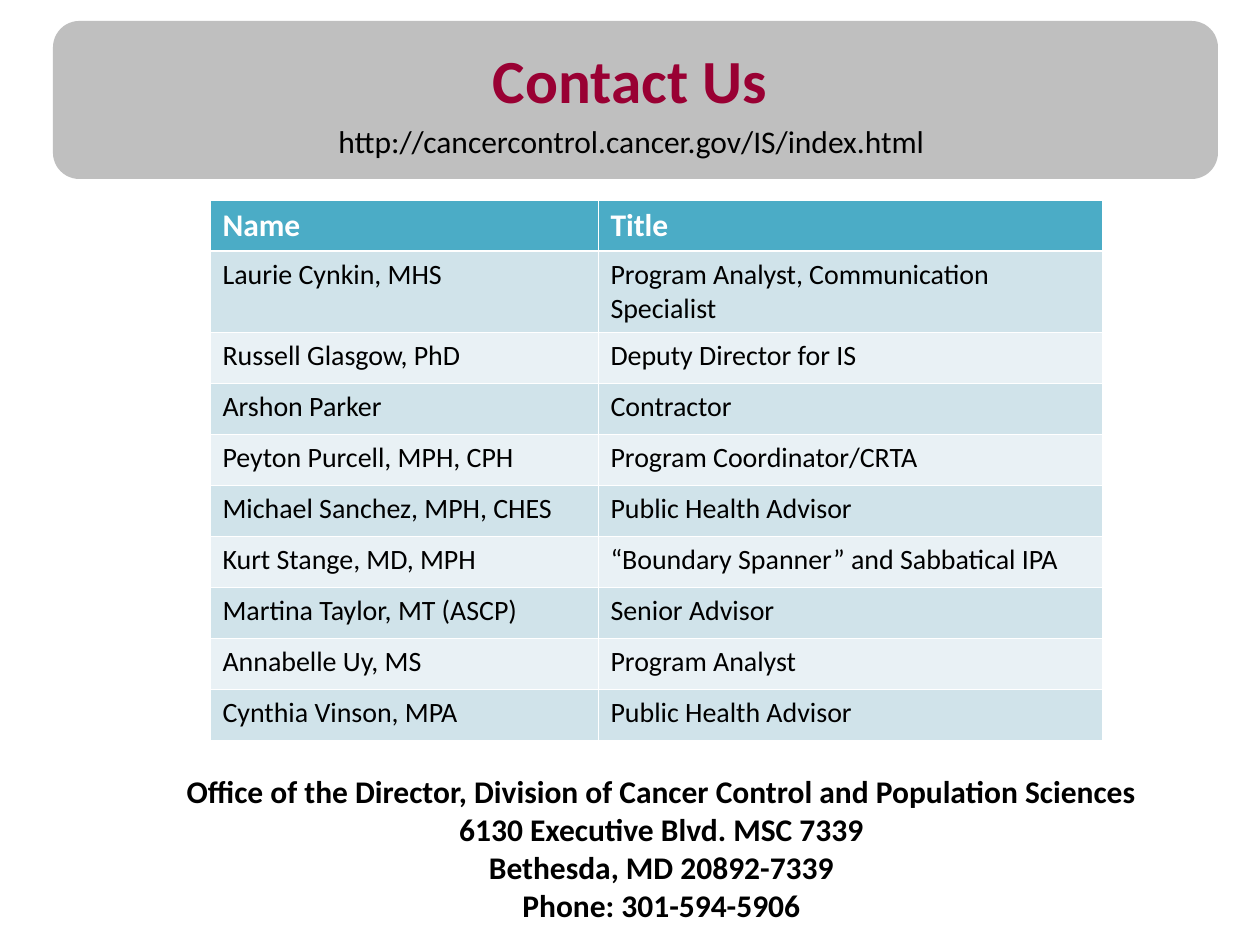
from dataclasses import dataclass

from lxml.etree import SubElement
from pptx import Presentation
from pptx.dml.color import RGBColor
from pptx.enum.shapes import MSO_SHAPE
from pptx.enum.text import MSO_ANCHOR, PP_ALIGN
from pptx.oxml.ns import qn
from pptx.util import Emu, Pt

EMU_PER_PX = 914400 / 126

WHITE = RGBColor(0xFF, 0xFF, 0xFF)
BLACK = RGBColor(0x00, 0x00, 0x00)
CRIMSON = RGBColor(0x99, 0x00, 0x33)
SILVER = RGBColor(0xBF, 0xBF, 0xBF)
TEAL = RGBColor(0x4B, 0xAC, 0xC6)
BANDS = (RGBColor(0xD0, 0xE3, 0xEA), RGBColor(0xE9, 0xF1, 0xF5))

TITLE_FORMAT = {"size": Pt(35), "bold": True, "color": CRIMSON}
HEADER_FORMAT = {"size": Pt(18), "bold": True, "color": WHITE}
STAFF_FORMAT = {"size": Pt(16), "bold": False, "color": BLACK}
ADDRESS_FORMAT = {"size": Pt(18), "bold": True, "color": BLACK}
LINK_FORMAT = {"size": Pt(18), "bold": False, "color": BLACK}

COLUMN_WIDTHS = (388, 504)
ROW_HEIGHT = 51
TALL_ROW_HEIGHT = 80
THIN, THICK = Pt(0.45), Pt(1.47)


@dataclass(frozen=True)
class Box:
    left: int
    top: int
    width: int
    height: int

    def emu(self) -> tuple:
        return tuple(px(n) for n in (self.left, self.top, self.width, self.height))


@dataclass(frozen=True)
class Contact:
    name: str
    title: str


CONTACTS = (
    Contact("Laurie Cynkin, MHS", "Program Analyst, Communication Specialist"),
    Contact("Russell Glasgow, PhD", "Deputy Director for IS"),
    Contact("Arshon Parker", "Contractor"),
    Contact("Peyton Purcell, MPH, CPH", "Program Coordinator/CRTA"),
    Contact("Michael Sanchez, MPH, CHES", "Public Health Advisor"),
    Contact("Kurt Stange, MD, MPH", "“Boundary Spanner” and Sabbatical IPA"),
    Contact("Martina Taylor, MT (ASCP)", "Senior Advisor"),
    Contact("Annabelle Uy, MS", "Program Analyst"),
    Contact("Cynthia Vinson, MPA", "Public Health Advisor"),
)
ADDRESS = (
    "Office of the Director, Division of Cancer Control and Population Sciences",
    "6130 Executive Blvd. MSC 7339",
    "Bethesda, MD 20892-7339",
    "Phone: 301-594-5906",
)


def px(length: int) -> Emu:
    return Emu(round(length * EMU_PER_PX))


def write(frame, text: str, text_format: dict, align=PP_ALIGN.LEFT) -> None:
    paragraph = frame.paragraphs[0]
    paragraph.text = text
    paragraph.alignment = align
    for run in paragraph.runs:
        run.font.name = "Calibri"
        for attribute, value in text_format.items():
            if attribute == "color":
                run.font.color.rgb = value
            else:
                setattr(run.font, attribute, value)


def place_title(slide, box: Box):
    title = slide.shapes.title
    for attribute, value in zip(("left", "top", "width", "height"), box.emu()):
        setattr(title, attribute, value)
    title.text_frame.vertical_anchor = MSO_ANCHOR.MIDDLE
    write(title.text_frame, "Contact Us", TITLE_FORMAT, PP_ALIGN.CENTER)
    return title


def add_banner(slide, box: Box):
    banner = slide.shapes.add_shape(MSO_SHAPE.ROUNDED_RECTANGLE, *box.emu())
    banner.shadow.inherit = False
    banner.fill.solid()
    banner.fill.fore_color.rgb = SILVER
    banner.line.fill.background()
    return banner


def add_text(slide, box: Box, text: str, text_format: dict, align, wrap: bool) -> None:
    frame = slide.shapes.add_textbox(*box.emu()).text_frame
    frame.word_wrap = wrap
    write(frame, text, text_format, align)


def set_borders(cell, top: int, bottom: int) -> None:
    properties = cell._tc.get_or_add_tcPr()
    for side, width in (("L", THIN), ("R", THIN), ("T", top), ("B", bottom)):
        line = SubElement(properties, qn(f"a:ln{side}"), w=str(int(width)))
        solid = SubElement(line, qn("a:solidFill"))
        SubElement(solid, qn("a:srgbClr"), val=str(WHITE))


def add_contacts(slide, left: int, top: int) -> None:
    rows = (Contact("Name", "Title"), *CONTACTS)
    heights = [TALL_ROW_HEIGHT if i == 1 else ROW_HEIGHT for i in range(len(rows))]
    box = Box(left, top, sum(COLUMN_WIDTHS), sum(heights))
    table = slide.shapes.add_table(len(rows), len(COLUMN_WIDTHS), *box.emu()).table
    for column, width in zip(table.columns, COLUMN_WIDTHS):
        column.width = px(width)
    for index, (row, contact, height) in enumerate(zip(table.rows, rows, heights)):
        row.height = px(height)
        is_header = index == 0
        for cell, text in zip(row.cells, (contact.name, contact.title)):
            set_borders(cell, THICK if index == 1 else THIN, THICK if is_header else THIN)
            cell.fill.solid()
            cell.fill.fore_color.rgb = TEAL if is_header else BANDS[(index - 1) % 2]
            write(cell.text_frame, text, HEADER_FORMAT if is_header else STAFF_FORMAT)


def main() -> None:
    deck = Presentation()
    deck.slide_width, deck.slide_height = px(1260), px(945)
    slide = deck.slides.add_slide(deck.slide_layouts[5])
    title = place_title(slide, Box(63, 0, 1134, 158))
    banner = add_banner(slide, Box(53, 21, 1165, 158))
    title._element.addprevious(banner._element)
    add_contacts(slide, 210, 200)
    add_text(slide, Box(126, 766, 1071, 164), "\v".join(ADDRESS),
             ADDRESS_FORMAT, PP_ALIGN.CENTER, True)
    add_text(slide, Box(326, 116, 625, 50), "http://cancercontrol.cancer.gov/IS/index.html",
             LINK_FORMAT, PP_ALIGN.LEFT, False)
    deck.save("out.pptx")


if __name__ == "__main__":
    main()
